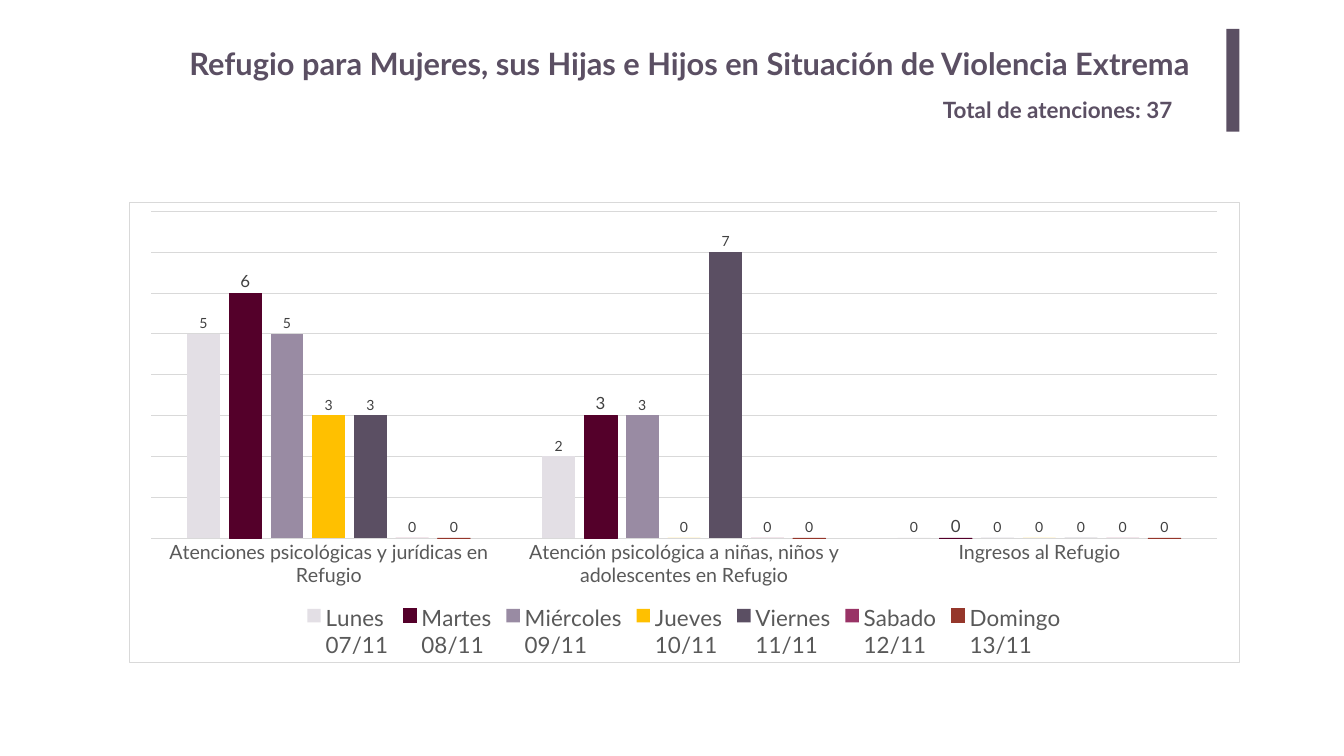
from lxml import etree
from pptx import Presentation
from pptx.chart.data import CategoryChartData
from pptx.dml.color import RGBColor
from pptx.enum import chart as kinds, shapes, text
from pptx.oxml import ns
from pptx.util import Cm, Pt

PLUM = RGBColor(0x5B, 0x4F, 0x63)
WINE = RGBColor(0x54, 0x00, 0x2A)
RUST = RGBColor(0x95, 0x37, 0x2B)
WHITE = RGBColor(0xFF, 0xFF, 0xFF)
RULE = RGBColor(0xD9, 0xD9, 0xD9)
GRAY = RGBColor(0x59, 0x59, 0x59)
DARK = RGBColor(0x40, 0x40, 0x40)
BLACK = RGBColor(0, 0, 0)

GROUPS = (
    "Atenciones psicológicas y jurídicas en Refugio",
    "Atención psicológica a niñas, niños y adolescentes en Refugio",
    "Ingresos al Refugio",
)
# name, values, fill, outline, label size
DAYS = (
    ("Lunes\n07/11", (5, 2, 0), RGBColor(0xE3, 0xDF, 0xE5), None, 20),
    ("Martes\n08/11", (6, 3, 0), WINE, WINE, 24),
    ("Miércoles\n09/11", (5, 3, 0), RGBColor(0x99, 0x8B, 0xA3), None, 20),
    ("Jueves\n10/11", (3, 0, 0), RGBColor(0xFF, 0xC0, 0x00), None, 20),
    ("Viernes\n11/11", (3, 7, 0), PLUM, None, 20),
    ("Sabado\n12/11", (0, 0, 0), RGBColor(0x99, 0x33, 0x66), None, 20),
    ("Domingo\n13/11", (0, 0, 0), RUST, RUST, 20),
)


def style(font, size, color, bold=False):
    font.name = "Lato"
    font.size = Pt(size)
    font.bold = bold
    font.color.rgb = color


def write(frame, words, **form):
    run = frame.paragraphs[0].add_run()
    run.text = words
    style(run.font, **form)


def stroke(line, color):
    line.color.rgb = color
    line.width = Pt(0.75)


def border(chart, fill, color):
    """Fill and outline the chart area, which has no public format."""
    area = etree.fromstring(
        f'<c:spPr {ns.nsdecls("c", "a")}>'
        f'<a:solidFill><a:srgbClr val="{fill}"/></a:solidFill>'
        f'<a:ln w="{Pt(0.75)}"><a:solidFill><a:srgbClr val="{color}"/>'
        "</a:solidFill></a:ln></c:spPr>"
    )
    chart.element.find(ns.qn("c:chart")).addnext(area)


class Board:
    def __init__(self, slide, color):
        self.slide = slide
        self.color = color

    def bar(self, *box):
        shape = self.slide.shapes.add_shape(
            shapes.MSO_SHAPE.RECTANGLE, *map(Cm, box))
        shape.shadow.inherit = False
        shape.fill.solid()
        shape.fill.fore_color.rgb = self.color
        shape.line.fill.background()

    def label(self, words, size, *box):
        frame = self.slide.shapes.add_textbox(*map(Cm, box)).text_frame
        frame.word_wrap = True
        frame.auto_size = text.MSO_AUTO_SIZE.SHAPE_TO_FIT_TEXT
        write(frame, words, size=size, color=self.color, bold=True)

    def columns(self, groups, days, *box):
        data = CategoryChartData()
        data.categories = groups
        for name, values, *_ in days:
            data.add_series(name, values)
        chart = self.slide.shapes.add_chart(
            kinds.XL_CHART_TYPE.COLUMN_CLUSTERED, *map(Cm, box), data).chart
        style(chart.font, 10, BLACK)
        border(chart, WHITE, RULE)
        chart.has_title = False
        chart.has_legend = True
        chart.legend.position = kinds.XL_LEGEND_POSITION.BOTTOM
        chart.legend.include_in_layout = False
        style(chart.legend.font, 32, GRAY)

        base = chart.category_axis
        base.major_tick_mark = kinds.XL_TICK_MARK.NONE
        style(base.tick_labels.font, 28, GRAY)
        stroke(base.format.line, RULE)
        scale = chart.value_axis
        scale.visible = False
        scale.minimum_scale, scale.maximum_scale, scale.major_unit = 0, 8, 1
        stroke(scale.major_gridlines.format.line, RULE)

        plot = chart.plots[0]
        plot.vary_by_categories = False
        plot.gap_width = 219
        plot.overlap = -27
        for item, (_, _, fill, edge, size) in zip(plot.series, days):
            item.format.fill.solid()
            item.format.fill.fore_color.rgb = fill
            if edge:
                stroke(item.format.line, edge)
            tags = item.data_labels
            tags.show_value = True
            tags.position = kinds.XL_LABEL_POSITION.OUTSIDE_END
            style(tags.font, size, DARK)


def main():
    deck = Presentation()
    deck.slide_width, deck.slide_height = Cm(67.73), Cm(38.1)
    board = Board(deck.slides.add_slide(deck.slide_layouts[6]), PLUM)
    board.bar(61.8, 1.45, 0.66, 5.18)
    board.label("Total de atenciones: 37", 32, 47.27, 4.7, 13.59, 1.63)
    board.label(
        "Refugio para Mujeres, sus Hijas e Hijos en Situación de Violencia "
        "Extrema", 44, 9.3, 2.13, 52.65, 2.13)
    board.columns(GROUPS, DAYS, 6.48, 10.16, 55.98, 23.24)
    deck.save("out.pptx")


if __name__ == "__main__":
    main()
